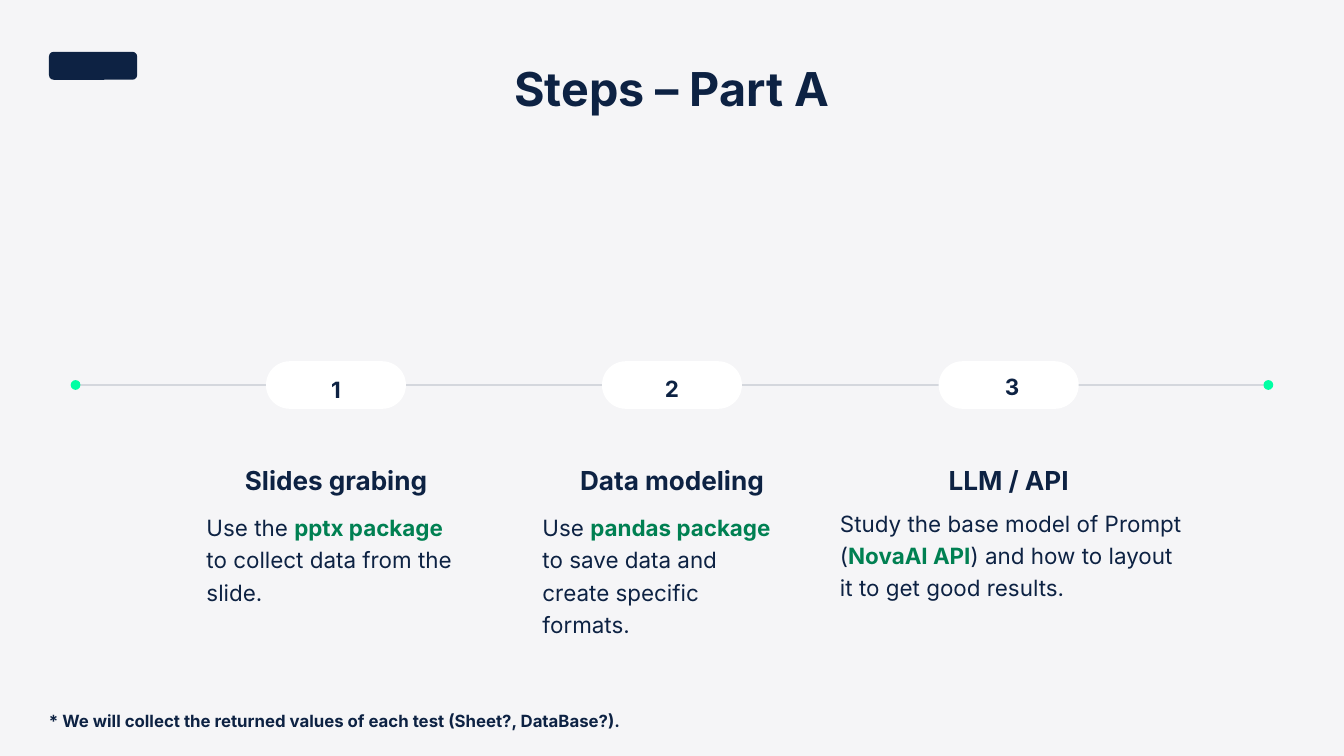
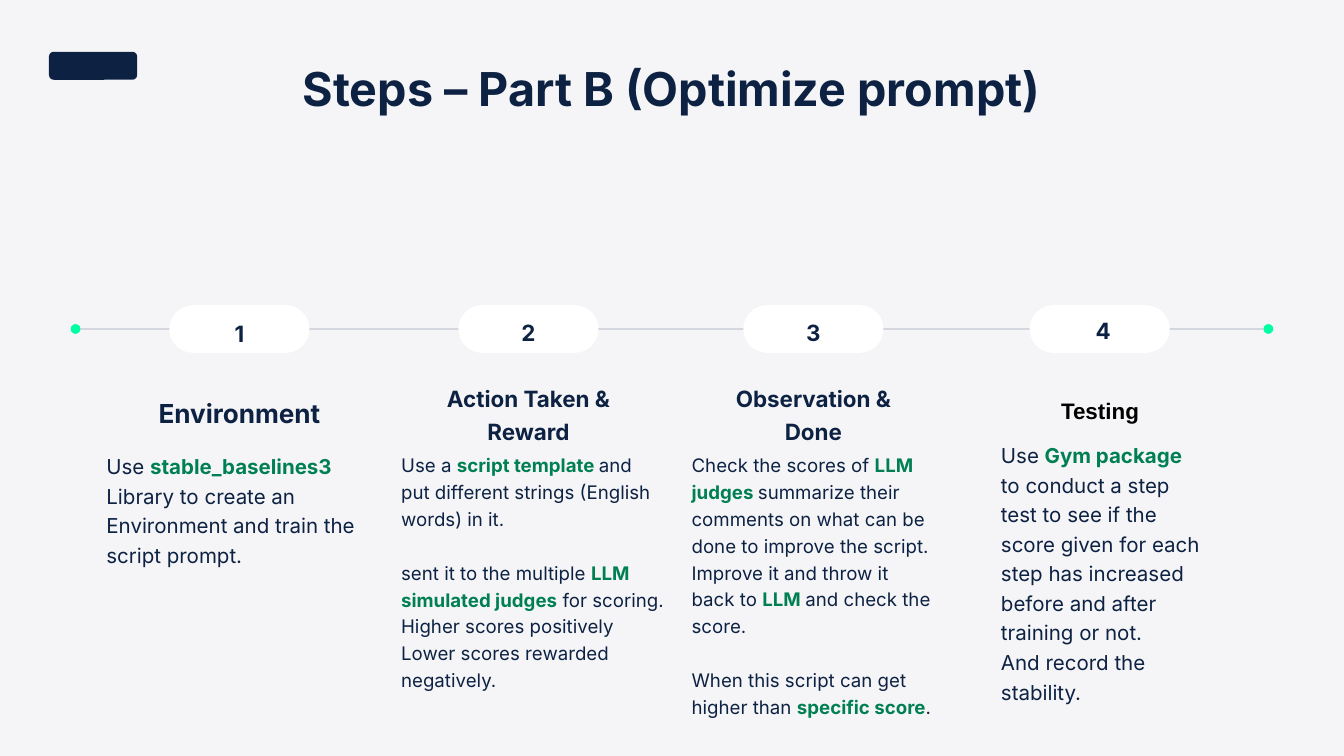
from dataclasses import dataclass

from lxml.etree import SubElement
from pptx import Presentation
from pptx.dml.color import RGBColor
from pptx.enum.shapes import MSO_CONNECTOR as Connector, MSO_SHAPE as Shape
from pptx.enum.text import MSO_ANCHOR as Anchor, MSO_AUTO_SIZE as AutoSize, PP_ALIGN as Align
from pptx.oxml.ns import qn
from pptx.util import Pt

EMU_PER_PX = 9525
COLORS = {
    "background": "F5F5F7",
    "navy": "0D2243",
    "mint": "00FFA3",
    "green": "008052",
    "white": "FFFFFF",
    "black": "000000",
}
PILL_WIDTH, PILL_HEIGHT = 200, 68
NUMBER_WIDTH, NUMBER_HEIGHT = 108, 46
DOT = 14
TRACK_LEFT, TRACK_RIGHT = 108, 1812
PARAGRAPH_GAP = 29


@dataclass(frozen=True)
class Box:
    left: int
    top: int
    width: int
    height: int

    def emu(self) -> tuple:
        return tuple(v * EMU_PER_PX for v in (self.left, self.top, self.width, self.height))


@dataclass(frozen=True)
class Style:
    size: int
    bold: bool = False
    centered: bool = False
    color: str = "navy"
    font: str = "Inter"


@dataclass(frozen=True)
class Heading:
    lines: tuple[str, ...]
    top: int
    width: int
    height: int
    style: Style


@dataclass(frozen=True)
class Step:
    """One step; |bars| in the body mark highlights, a leading ^ a gap above."""
    center: int
    heading: Heading
    body: tuple[str, ...]
    body_box: Box
    body_size: int
    number_top: int = -22
    number_shift: int = 0


@dataclass(frozen=True)
class StepsPage:
    title: str
    track_y: int
    steps: tuple[Step, ...]
    footnote: str = ""


TITLE = Style(50, bold=True, centered=True)
LARGE = Style(28, bold=True, centered=True)
MEDIUM = Style(24, bold=True, centered=True)
FOOTNOTE = Style(18, bold=True)

PAGES = (
    StepsPage(
        "Steps – Part A",
        550,
        (
            Step(480, Heading(("Slides grabing",), 655, 288, 55, LARGE),
                 ("Use the |pptx package |to collect data from the slide.",),
                 Box(295, 727, 370, 186), 24, number_top=-20),
            Step(960, Heading(("Data modeling",), 655, 288, 55, LARGE),
                 ("Use |pandas package |to save data and create specific formats.",),
                 Box(775, 727, 353, 186), 24),
            Step(1441, Heading(("LLM / API",), 655, 288, 55, LARGE),
                 ("Study the base model of Prompt (|NovaAI API|) and how to layout "
                  "it to get good results.",),
                 Box(1200, 721, 498, 186), 24, number_top=-24, number_shift=5),
        ),
        "* We will collect the returned values of each test (Sheet?, DataBase?).",
    ),
    StepsPage(
        "Steps – Part B (Optimize prompt)",
        470,
        (
            Step(342, Heading(("Environment",), 559, 238, 108, LARGE),
                 ("Use |stable_baselines3 |Library to create an Environment and "
                  "train the script prompt.",),
                 Box(152, 642, 378, 171), 22, number_top=-20),
            Step(755, Heading(("Action Taken &", "Reward"), 543, 384, 139, MEDIUM),
                 ("Use a |script template |and put different strings (English words) in it.",
                  "^sent it to the multiple |LLM simulated judges| for scoring. "
                  "Higher scores positively",
                  "Lower scores rewarded negatively."),
                 Box(573, 642, 378, 349), 20),
            Step(1162, Heading(("Observation &", "Done"), 543, 288, 139, MEDIUM),
                 ("Check the scores of |LLM judges |summarize their comments on what "
                  "can be done to improve the script.",
                  "Improve it and throw it back to |LLM |and check the score.",
                  "^When this script can get higher than |specific score|."),
                 Box(988, 642, 345, 388), 20),
            Step(1571, Heading(("Testing",), 559, 197, 46,
                               Style(24, True, True, "black", "Arial")),
                 ("Use |Gym package |to conduct a step test to see if the score given "
                  "for each step has increased before and after training or not.",
                  "And record the stability."),
                 Box(1430, 626, 284, 384), 22, number_top=-24, number_shift=5),
        ),
    ),
)


def rgb(name: str) -> RGBColor:
    return RGBColor.from_string(COLORS[name])


def write(frame, lines: tuple[str, ...], style: Style) -> None:
    frame.margin_left = frame.margin_top = frame.margin_right = frame.margin_bottom = 0
    frame.word_wrap = True
    frame.auto_size = AutoSize.SHAPE_TO_FIT_TEXT
    frame.vertical_anchor = Anchor.TOP
    for index, line in enumerate(lines):
        para = frame.paragraphs[0] if index == 0 else frame.add_paragraph()
        para.alignment = Align.CENTER if style.centered else Align.LEFT
        para.line_spacing = 1.2
        para.space_before = Pt(PARAGRAPH_GAP if line.startswith("^") else 0)
        for position, text in enumerate(line.removeprefix("^").split("|")):
            highlighted = position % 2 == 1
            span = para.add_run()
            span.text = text
            span.font.name = style.font
            span.font.size = Pt(style.size)
            span.font.bold = style.bold or highlighted
            span.font.color.rgb = rgb("green" if highlighted else style.color)


def add_text(shapes, box: Box, lines: tuple[str, ...], style: Style) -> None:
    write(shapes.add_textbox(*box.emu()).text_frame, lines, style)


def add_solid(shapes, kind: Shape, box: Box, color: str):
    """Add a borderless, shadowless shape in one colour."""
    shape = shapes.add_shape(kind, *box.emu())
    shape.shadow.inherit = False
    shape.fill.solid()
    shape.fill.fore_color.rgb = rgb(color)
    shape.line.fill.background()
    return shape


def add_track(shapes, y: int) -> None:
    """Draw the timeline's pale line and its two end dots."""
    radius = DOT // 2
    for x in (TRACK_LEFT, TRACK_RIGHT):
        add_solid(shapes, Shape.OVAL, Box(x - radius, y - radius, DOT, DOT), "mint")
    ends = (TRACK_LEFT + radius, y, TRACK_RIGHT - radius, y)
    track = shapes.add_connector(Connector.STRAIGHT, *(v * EMU_PER_PX for v in ends))
    track.line.width = Pt(0.75)
    track.line.color.rgb = rgb("navy")
    properties = track._element.spPr
    for color in properties.iter(qn("a:srgbClr")):
        SubElement(color, qn("a:alpha")).set("val", "40000")
    SubElement(properties, qn("a:effectLst"))


def add_step(shapes, step: Step, number: int, track_y: int) -> None:
    heading = step.heading
    heading_box = Box(step.center - heading.width // 2, heading.top,
                      heading.width, heading.height)
    add_text(shapes, heading_box, heading.lines, heading.style)
    add_text(shapes, step.body_box, step.body, Style(step.body_size))

    marker = shapes.add_group_shape().shapes
    pill_box = Box(step.center - PILL_WIDTH // 2, track_y - PILL_HEIGHT // 2,
                   PILL_WIDTH, PILL_HEIGHT)
    pill = add_solid(marker, Shape.ROUNDED_RECTANGLE, pill_box, "white")
    pill.adjustments[0] = 0.5
    number_box = Box(step.center - NUMBER_WIDTH // 2 + step.number_shift,
                     track_y + step.number_top, NUMBER_WIDTH, NUMBER_HEIGHT)
    add_text(marker, number_box, (str(number),), MEDIUM)


def add_page(deck, content: StepsPage) -> None:
    shapes = deck.slides.add_slide(deck.slide_layouts[5]).shapes
    title = shapes.title
    title.left, title.top, title.width, title.height = Box(108, 69, 1704, 97).emu()
    write(title.text_frame, (content.title,), TITLE)
    add_solid(shapes, Shape.ROUNDED_RECTANGLE, Box(70, 74, 126, 40), "navy")
    add_track(shapes, content.track_y)
    for number, step in enumerate(content.steps, start=1):
        add_step(shapes, step, number, content.track_y)
    if content.footnote:
        add_text(shapes, Box(70, 1009, 989, 35), (content.footnote,), FOOTNOTE)


def main() -> None:
    deck = Presentation()
    deck.slide_width, deck.slide_height = 1920 * EMU_PER_PX, 1080 * EMU_PER_PX
    background = deck.slide_master.background.fill
    background.solid()
    background.fore_color.rgb = rgb("background")
    for content in PAGES:
        add_page(deck, content)
    deck.save("out.pptx")


if __name__ == "__main__":
    main()
